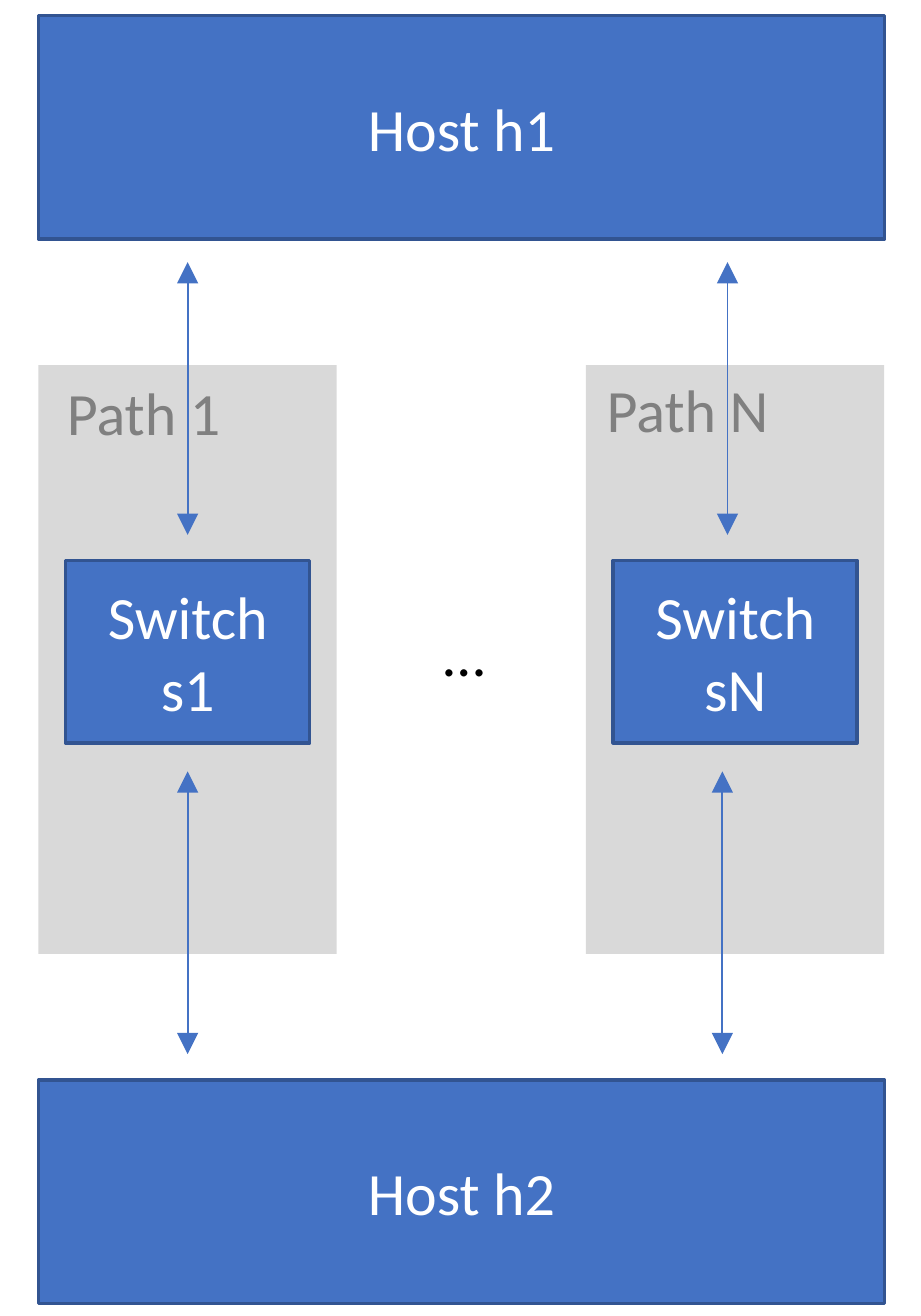
"""Build a slide of two hosts joined by parallel switch paths."""
from dataclasses import dataclass

from lxml.etree import SubElement
from pptx import Presentation
from pptx.dml.color import RGBColor
from pptx.enum.shapes import MSO_CONNECTOR, MSO_SHAPE
from pptx.enum.text import MSO_ANCHOR, PP_ALIGN
from pptx.oxml.ns import qn
from pptx.util import Inches, Pt

HOSTS = [("Host h1", 0.06), ("Host h2", 4.2)]
PATHS = [
    {"left": 0.15, "switch": "Switch s1", "label": "Path 1", "label_at": (0.17, 1.41), "arrows": (0.73, 0.73)},
    {"left": 2.28, "switch": "Switch sN", "label": "Path N", "label_at": (2.27, 1.4), "arrows": (2.83, 2.81)},
]
ARROW_SPANS = [(1.02, 2.08), (3, 4.1)]
ELLIPSIS = ("…", 1.51, 2.35, 0.59)

CM_PER_INCH = 2.54
PAGE_WIDTH, PAGE_HEIGHT = 9.1 / CM_PER_INCH, 13 / CM_PER_INCH
HOST_LEFT, HOST_WIDTH, HOST_HEIGHT = 0.15, 3.29, 0.87
PATH_TOP, PATH_WIDTH, PATH_HEIGHT = 1.42, 1.16, 2.29
SWITCH_TOP, SWITCH_WIDTH, SWITCH_HEIGHT = 2.18, 0.95, 0.71
LABEL_WIDTH, LABEL_HEIGHT = 1.08, 0.38


@dataclass(frozen=True)
class Theme:
    font: str = "Calibri"
    size: float = 16.8
    blue: str = "4472C4"
    edge: str = "325491"
    panel: str = "D9D9D9"
    white: str = "FFFFFF"
    black: str = "000000"
    gray: str = "808080"
    edge_width: float = 1
    arrow_width: float = 0.5


THEME = Theme()


def write(box, text, color=THEME.white, align=PP_ALIGN.CENTER, anchor=MSO_ANCHOR.MIDDLE):
    frame = box.text_frame
    frame.word_wrap = True
    frame.vertical_anchor = anchor
    frame.margin_left = frame.margin_right = Inches(0.09)
    frame.margin_top = frame.margin_bottom = Inches(0.05)
    para = frame.paragraphs[0]
    para.alignment = align
    span = para.add_run()
    span.text = text
    span.font.name = THEME.font
    span.font.size = Pt(THEME.size)
    span.font.color.rgb = RGBColor.from_string(color)


def add_box(page, left, top, width, height, fill=THEME.blue, edge=THEME.edge, kind=MSO_SHAPE.RECTANGLE):
    box = page.shapes.add_shape(kind, Inches(left), Inches(top), Inches(width), Inches(height))
    box.shadow.inherit = False
    box.fill.solid()
    box.fill.fore_color.rgb = RGBColor.from_string(fill)
    if edge:
        box.line.color.rgb = RGBColor.from_string(edge)
        box.line.width = Pt(THEME.edge_width)
    else:
        box.line.fill.background()
    return box


def add_label(page, text, left, top, width, **style):
    box = page.shapes.add_textbox(Inches(left), Inches(top), Inches(width), Inches(LABEL_HEIGHT))
    write(box, text, anchor=MSO_ANCHOR.TOP, **style)


def add_arrow(page, x, top, bottom):
    arrow = page.shapes.add_connector(
        MSO_CONNECTOR.STRAIGHT, Inches(x), Inches(top), Inches(x), Inches(bottom))
    arrow.line.color.rgb = RGBColor.from_string(THEME.blue)
    arrow.line.width = Pt(THEME.arrow_width)
    properties = arrow.element.spPr
    for end in ("a:headEnd", "a:tailEnd"):
        SubElement(properties.find(qn("a:ln")), qn(end), type="triangle")
    SubElement(properties, qn("a:effectLst"))


def main():
    deck = Presentation()
    deck.slide_width = Inches(PAGE_WIDTH)
    deck.slide_height = Inches(PAGE_HEIGHT)
    page = deck.slides.add_slide(deck.slide_layouts[6])

    for path in reversed(PATHS):
        add_box(page, path["left"], PATH_TOP, PATH_WIDTH, PATH_HEIGHT, fill=THEME.panel, edge=None)
    for name, top in HOSTS:
        host = add_box(page, HOST_LEFT, top, HOST_WIDTH, HOST_HEIGHT, kind=MSO_SHAPE.FLOWCHART_PROCESS)
        write(host, name)
    for path in PATHS:
        switch_left = path["left"] + (PATH_WIDTH - SWITCH_WIDTH) / 2
        switch = add_box(page, switch_left, SWITCH_TOP, SWITCH_WIDTH, SWITCH_HEIGHT)
        write(switch, path["switch"])
        for x, (top, bottom) in zip(path["arrows"], ARROW_SPANS):
            add_arrow(page, x, top, bottom)
    add_label(page, *ELLIPSIS, color=THEME.black)
    for path in PATHS:
        add_label(page, path["label"], *path["label_at"], LABEL_WIDTH, color=THEME.gray, align=PP_ALIGN.LEFT)

    deck.save("out.pptx")


if __name__ == "__main__":
    main()
